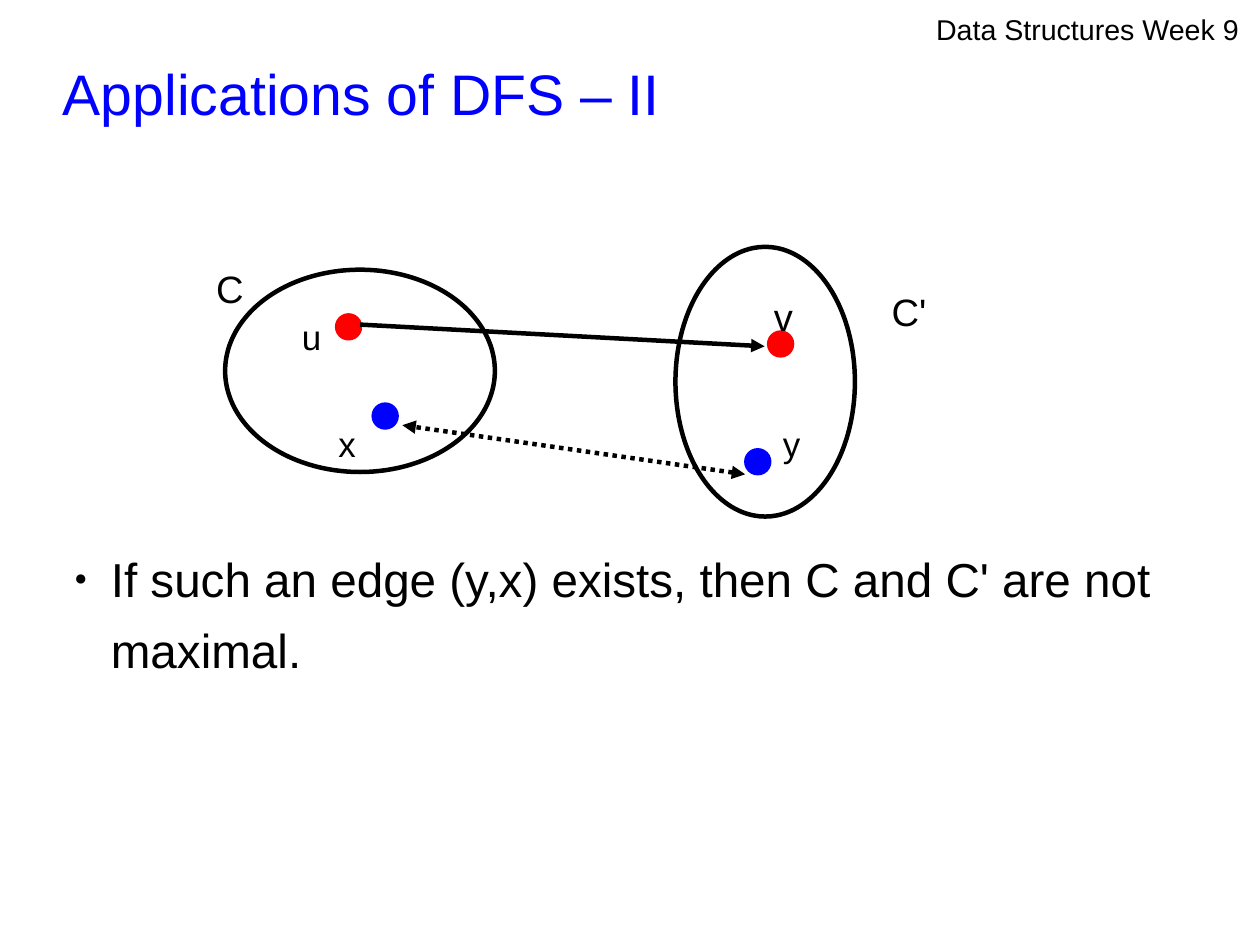
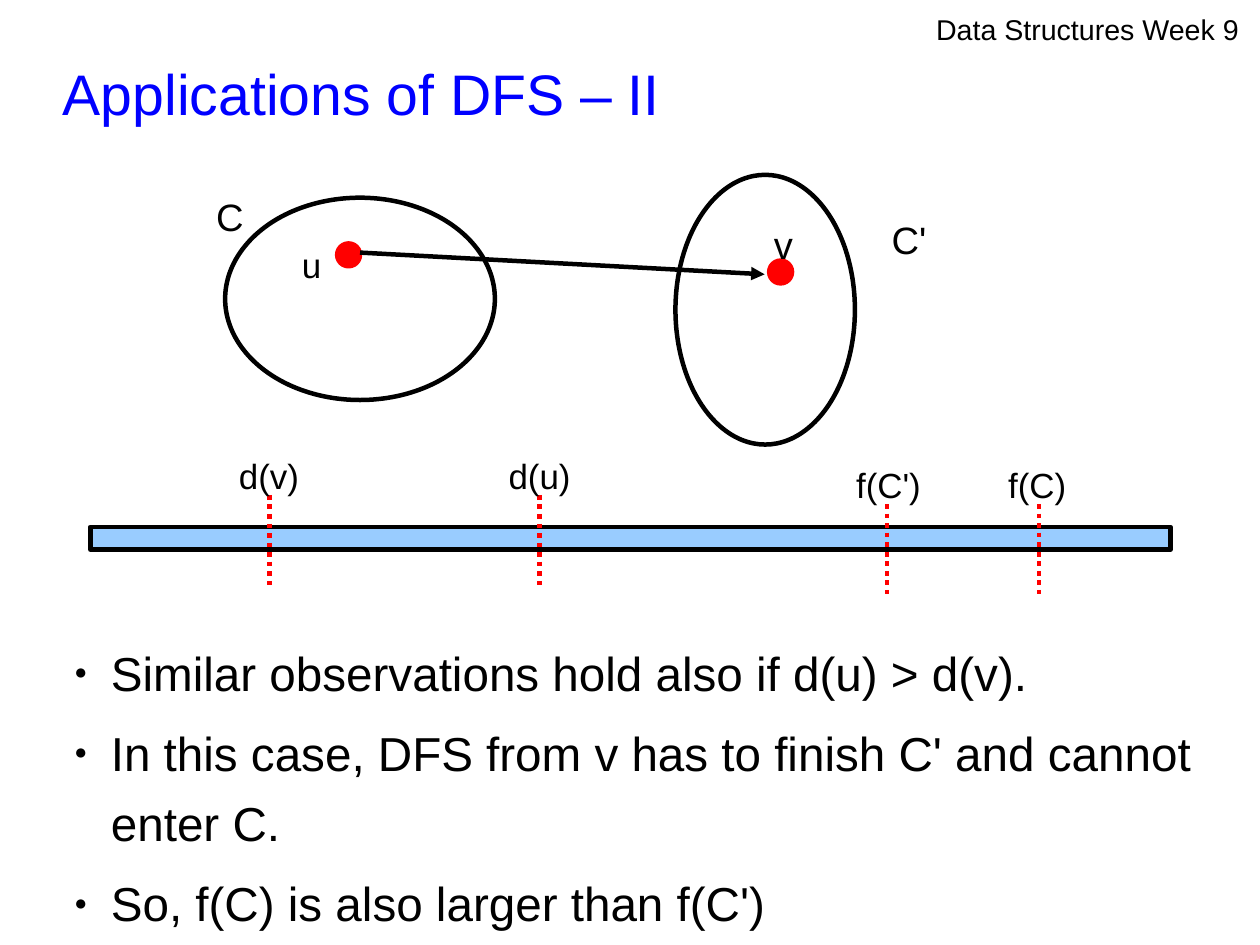
from lxml import etree
from pptx import Presentation
from pptx.dml.color import RGBColor
from pptx.enum.dml import MSO_LINE
from pptx.enum.shapes import MSO_CONNECTOR, MSO_SHAPE
from pptx.enum.text import MSO_ANCHOR, MSO_AUTO_SIZE, PP_ALIGN
from pptx.oxml.ns import qn
from pptx.util import Cm, Inches, Pt

OVAL, RECT = MSO_SHAPE.OVAL, MSO_SHAPE.RECTANGLE
STRAIGHT = MSO_CONNECTOR.STRAIGHT
DOTTED = MSO_LINE.ROUND_DOT
MIDDLE, LEFT, NO_FIT = MSO_ANCHOR.MIDDLE, PP_ALIGN.LEFT, MSO_AUTO_SIZE.NONE

COLORS = {name: RGBColor.from_string(value) for name, value in {
    "black": "000000", "blue": "0000FF", "red": "FF0000", "bar": "99CCFF",
}.items()}
FONT = "Arial"
LINE_WIDTH = 2.83
LINE_SPACING = 1.24
LABEL_INSETS = (0.12, 0.07)
DOT = 0.2
TITLE = "Applications of DFS – II"
HEADER = "Data Structures Week 9"

# Positions in the graph are those of the first slide; "shift" moves it down.
SLIDES = [
    {
        "shift": 0,
        "dots": [(3.27, 3.54, "blue"), (6.53, 3.94, "blue")],
        "labels": [("x", 2.84, 3.54, 0.59, 22), ("y", 6.73, 3.54, 0.59, 22)],
        "back_edge": [(6.52, 4.15, 3.52, 3.72)],
        "ticks": [],
        "body": (4.69, 3.19),
        "bullets": ["If such an edge (y,x) exists, then C and C' are not maximal."],
    },
    {
        "shift": -0.63,
        "dots": [],
        "labels": [],
        "back_edge": [],
        "ticks": [("d(v)", 2.36, 4.33, 0.79), ("d(u)", 4.72, 4.33, 0.79),
                  ("f(C')", 7.76, 4.41, 0.91), ("f(C)", 9.09, 4.41, 0.91)],
        "body": (5.51, 2.76),
        "bullets": ["Similar observations hold also if d(u) > d(v).",
                    "In this case, DFS from v has to finish C' and cannot enter C.",
                    "So, f(C) is also larger than f(C')"],
    },
]
OVALS = [(1.97, 2.36, 2.36, 1.77), (5.91, 2.16, 1.57, 2.36)]
DOTS = [(2.95, 2.76, "red"), (6.73, 2.91, "red")]
EDGE = (3.15, 2.84, 6.69, 3.03)
LABELS = [("u", 2.52, 2.6, 0.59, 22), ("v", 6.65, 2.4, 0.59, 24),
          ("C", 1.77, 2.16, 0.79, 24), ("C'", 7.68, 2.36, 0.79, 24)]


def write(sp, lines, size, color="black", spacing=LINE_SPACING, insets=(0, 0)):
    """Fill a text box or placeholder with one paragraph for each line."""
    tf = sp.text_frame
    tf.word_wrap = True
    tf.auto_size = NO_FIT
    tf.margin_left = tf.margin_right = Inches(insets[0])
    tf.margin_top = tf.margin_bottom = Inches(insets[1])
    tf.text = "\n".join(lines)
    for p in tf.paragraphs:
        p.alignment = LEFT
        p.line_spacing = spacing
        p.font.name = FONT
        p.font.size = Pt(size)
        p.font.color.rgb = COLORS[color]
    return tf


def add_line(s, ends, color="black", width=LINE_WIDTH, dash=None, arrows=()):
    """Draw a line; arrows names the ends (headEnd, tailEnd) with a tip."""
    sp = s.shapes.add_connector(STRAIGHT, *[Inches(v) for v in ends])
    sp.line.color.rgb = COLORS[color]
    sp.line.width = Pt(width)
    if dash:
        sp.line.dash_style = dash
    for end in arrows:
        etree.SubElement(sp.line._get_or_add_ln(), qn(f"a:{end}"), type="triangle")
    etree.SubElement(sp._element.spPr, qn("a:effectLst"))


prs = Presentation()
prs.slide_width, prs.slide_height = Cm(28), Cm(21)

for content in SLIDES:
    s = prs.slides.add_slide(prs.slide_layouts[5])
    shift = content["shift"]

    # Header and title
    header = s.shapes.add_textbox(Inches(8.19), Inches(0.1), Inches(2.7), Inches(0.32))
    write(header, [HEADER], 18, spacing=1.0)
    title = s.shapes.title
    title.left, title.top = Inches(0.55), Inches(0.37)
    title.width, title.height = Inches(9.89), Inches(0.74)
    write(title, [TITLE], 36, "blue").vertical_anchor = MIDDLE

    # Bulleted text
    top, height = content["body"]
    body = s.shapes.add_textbox(Inches(0.55), Inches(top), Inches(10.08), Inches(height))
    for p in write(body, content["bullets"], 30).paragraphs:
        p.space_after = Pt(5.8)
        pPr = p._p.get_or_add_pPr()
        pPr.set("marL", str(Inches(0.42)))
        pPr.set("indent", str(Inches(-0.32)))
        defaults = pPr.find(qn("a:defRPr"))
        for tag, key, value in [("a:buSzPct", "val", "45000"),
                                ("a:buFont", "typeface", FONT),
                                ("a:buChar", "char", "●")]:
            defaults.addprevious(etree.Element(qn(tag), {key: value}))

    # Components, vertices and the time bar
    shapes = [(OVAL, x, y + shift, w, h, None, "black") for x, y, w, h in OVALS]
    shapes += [(OVAL, x, y + shift, DOT, DOT, color, color)
               for x, y, color in DOTS + content["dots"]]
    if content["ticks"]:
        shapes.append((RECT, 0.79, 4.61, 9.45, 0.2, "bar", "black"))
    for kind, x, y, w, h, fill, line in shapes:
        sp = s.shapes.add_shape(kind, Inches(x), Inches(y), Inches(w), Inches(h))
        sp.shadow.inherit = False
        if fill:
            sp.fill.solid()
            sp.fill.fore_color.rgb = COLORS[fill]
        else:
            sp.fill.background()
        sp.line.color.rgb = COLORS[line]
        sp.line.width = Pt(LINE_WIDTH)

    # Edges and time ticks
    x1, y1, x2, y2 = EDGE
    add_line(s, (x1, y1 + shift, x2, y2 + shift), arrows=["tailEnd"])
    for ends in content["back_edge"]:
        add_line(s, ends, dash=DOTTED, arrows=["headEnd", "tailEnd"])
    for name, x, y, w in content["ticks"]:
        add_line(s, (x, y, x, y + 0.79), "red", 3, DOTTED)

    # Labels
    labels = [(name, x, y + shift, w, size)
              for name, x, y, w, size in LABELS + content["labels"]]
    labels += [(name, x - 0.39, y - 0.51, w, 22) for name, x, y, w in content["ticks"]]
    for name, x, y, w, size in labels:
        label = s.shapes.add_textbox(Inches(x), Inches(y), Inches(w), Inches(0.6))
        write(label, [name], size, insets=LABEL_INSETS)

prs.save("out.pptx")
